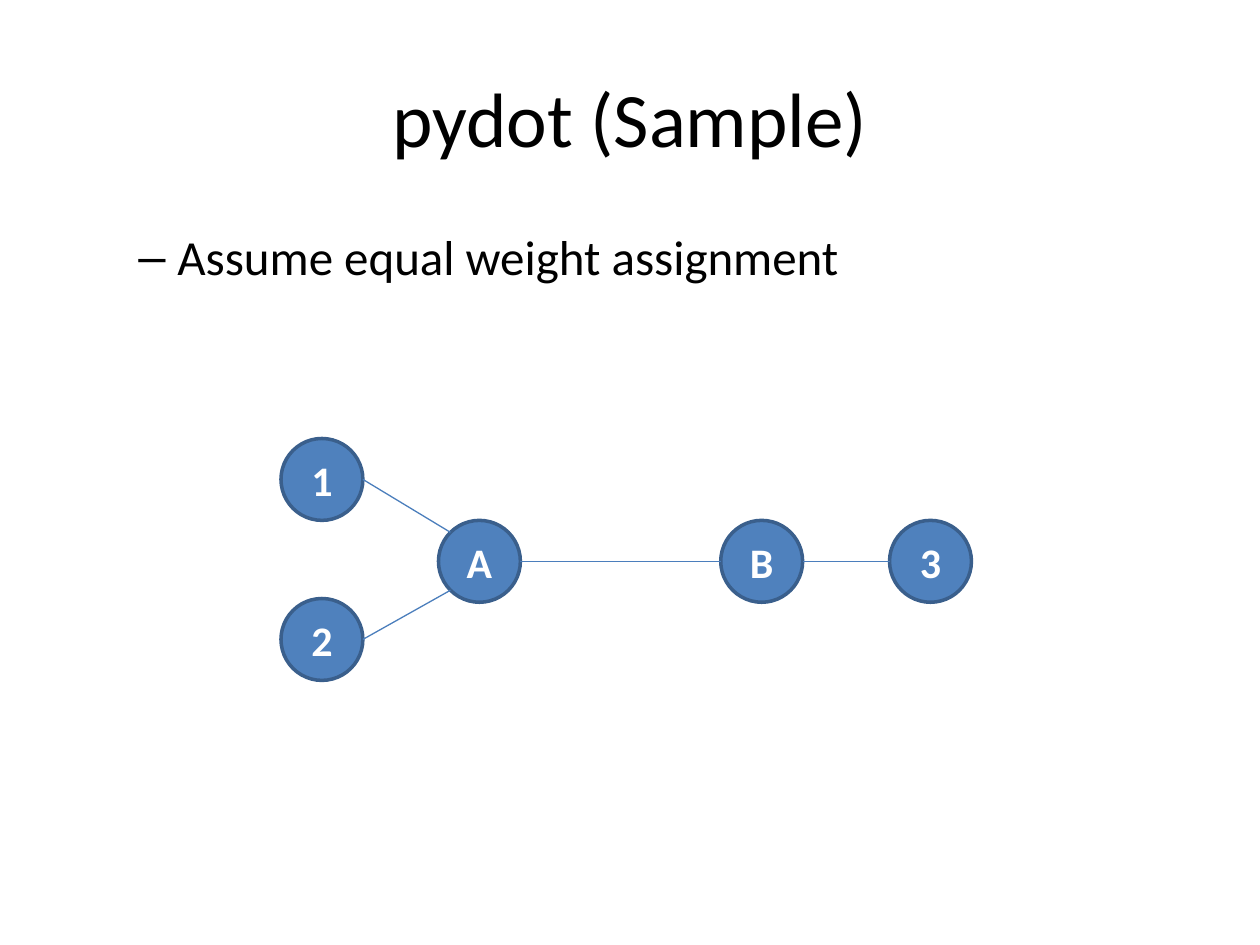
"""Build a slide showing a small weighted tree of linked nodes."""
from dataclasses import dataclass
from math import cos, radians, sin

from lxml.etree import SubElement
from pptx import Presentation
from pptx.dml.color import RGBColor
from pptx.enum.shapes import MSO_CONNECTOR as Connector, MSO_SHAPE as Shape
from pptx.enum.text import MSO_ANCHOR as Anchor, PP_ALIGN as Align
from pptx.oxml.ns import qn
from pptx.util import Inches, Pt

COLORS = {"text": "000000", "node": "4F81BD", "outline": "3A5F8C",
          "label": "FFFFFF", "edge": "4B7EBC"}
FONT = "Calibri"
DIAMETER = 0.65


@dataclass(frozen=True)
class Node:
    label: str
    left: float
    top: float

    def rim(self, angle: float) -> tuple[float, float]:
        radius = DIAMETER / 2
        return (round(self.left + radius * (1 + cos(radians(angle))), 3),
                round(self.top + radius * (1 + sin(radians(angle))), 3))


@dataclass(frozen=True)
class Edge:
    start: str
    end: str
    end_angle: float = 180


NODES = {node.label: node for node in (
    Node("A", 3.48, 4.13), Node("B", 5.72, 4.13), Node("3", 7.06, 4.13),
    Node("1", 2.23, 3.48), Node("2", 2.23, 4.75))}
EDGES = (Edge("1", "A", 225), Edge("2", "A", 135), Edge("A", "B"), Edge("B", "3"))


def color(name: str) -> RGBColor:
    return RGBColor.from_string(COLORS[name])


def style(paragraph, size: float, color_name: str, bold: bool = False) -> None:
    font = paragraph.font
    font.name, font.size, font.bold = FONT, Pt(size), bold
    font.color.rgb = color(color_name)


def add_title(slide, text: str) -> None:
    title = slide.shapes.title
    title.left, title.top = Inches(0.5), Inches(0.3)
    title.width, title.height = Inches(9), Inches(1.25)
    frame = title.text_frame
    frame.text = text
    frame.vertical_anchor = Anchor.MIDDLE
    paragraph = frame.paragraphs[0]
    paragraph.alignment = Align.CENTER
    style(paragraph, 44, "text")


def add_body(slide, text: str) -> None:
    body = slide.shapes.add_textbox(Inches(0.5), Inches(1.75), Inches(9), Inches(4.95))
    frame = body.text_frame
    frame.word_wrap = True
    frame.text = text
    paragraph = frame.paragraphs[0]
    paragraph.level = 1
    paragraph.space_before = Pt(5.6)
    style(paragraph, 28, "text")
    properties = paragraph._p.get_or_add_pPr()
    properties.set("marL", str(Inches(0.81)))
    properties.set("indent", str(Inches(-0.31)))
    SubElement(properties, qn("a:buFont")).set("typeface", "Arial")
    SubElement(properties, qn("a:buChar")).set("char", "–")
    properties.append(properties.find(qn("a:defRPr")))


def add_node(slide, node: Node) -> None:
    circle = slide.shapes.add_shape(Shape.OVAL, Inches(node.left), Inches(node.top),
                                    Inches(DIAMETER), Inches(DIAMETER))
    circle.shadow.inherit = False
    circle.fill.solid()
    circle.fill.fore_color.rgb = color("node")
    circle.line.color.rgb = color("outline")
    circle.line.width = Pt(2)
    frame = circle.text_frame
    frame.text = node.label
    frame.vertical_anchor = Anchor.MIDDLE
    paragraph = frame.paragraphs[0]
    paragraph.alignment = Align.CENTER
    style(paragraph, 24, "label", bold=True)


def add_edge(slide, edge: Edge) -> None:
    ends = NODES[edge.start].rim(0) + NODES[edge.end].rim(edge.end_angle)
    connector = slide.shapes.add_connector(Connector.STRAIGHT, *map(Inches, ends))
    connector.line.color.rgb = color("edge")
    connector.line.width = Pt(0.75)
    SubElement(connector._element.spPr, qn("a:effectLst"))


def main() -> None:
    presentation = Presentation()
    presentation.slide_width, presentation.slide_height = Inches(10), Inches(7.5)
    slide = presentation.slides.add_slide(presentation.slide_layouts.get_by_name("Title Only"))
    add_title(slide, "pydot (Sample)")
    add_body(slide, "Assume equal weight assignment")
    for node in NODES.values():
        add_node(slide, node)
    for edge in EDGES:
        add_edge(slide, edge)
    presentation.save("out.pptx")


main()
